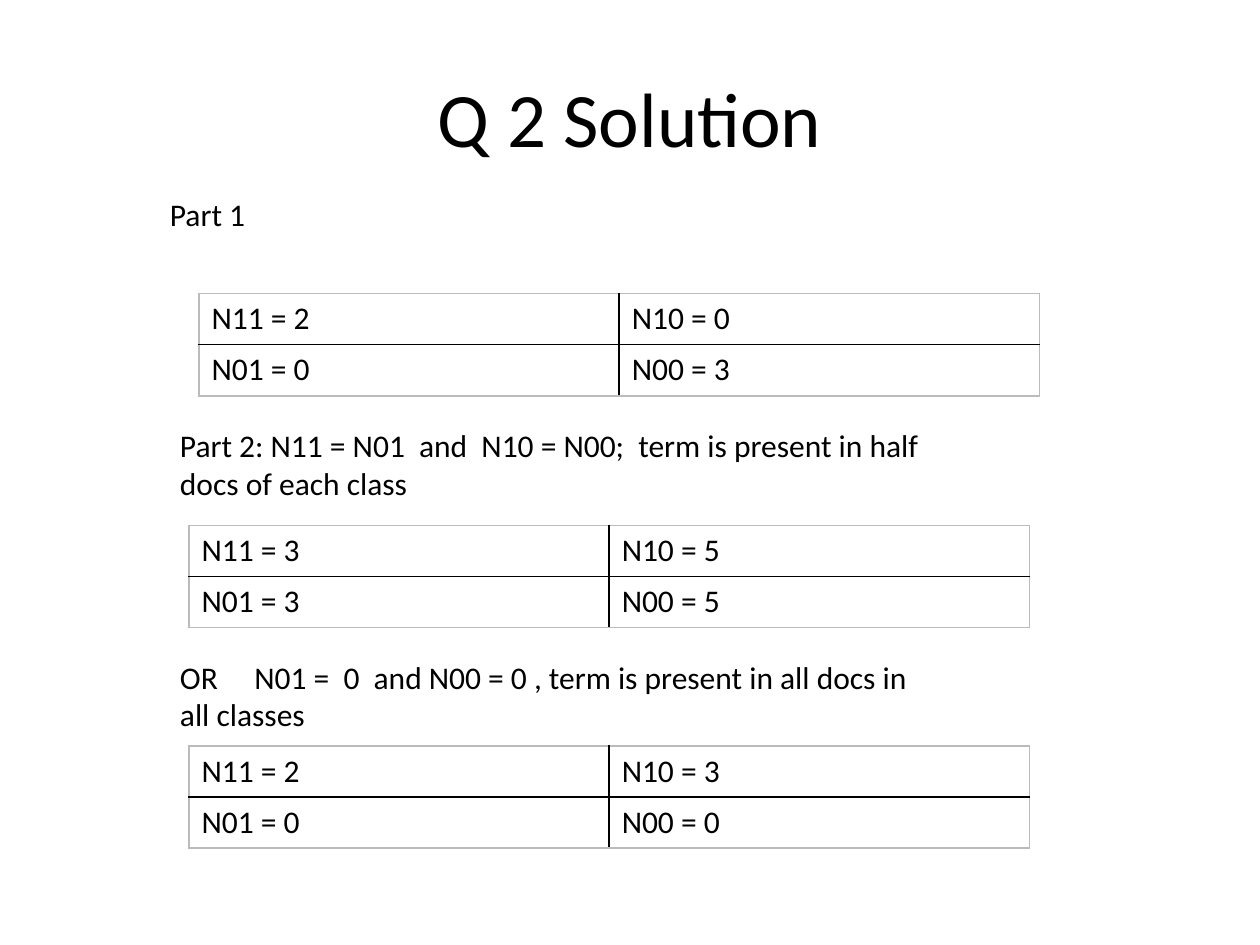
from dataclasses import dataclass

from lxml.etree import SubElement
from pptx import Presentation
from pptx.dml.color import RGBColor
from pptx.enum.text import MSO_ANCHOR, PP_ALIGN
from pptx.oxml.ns import qn
from pptx.util import Inches, Pt

BLACK = RGBColor(0x00, 0x00, 0x00)
OUTER_GREY = RGBColor(0xBB, 0xBB, 0xBB)
FONT_NAME = "Calibri"
TABLE_WIDTH = 6.67
ROW_HEIGHT = 0.405
TAB_STOP = 0.59


@dataclass
class Caption:
    text: str
    left: float
    top: float
    width: float
    height: float


@dataclass
class CountTable:
    rows: list[list[str]]
    left: float
    top: float


CAPTIONS = [
    Caption("Part 1", 1.25, 1.5, 2.25, 0.4),
    Caption("Part 2: N11 = N01  and  N10 = N00;  term is present in half docs of each class",
            1.33, 3.33, 6.25, 0.71),
    Caption("OR\tN01 =  0  and N00 = 0 , term is present in all docs in all classes",
            1.33, 5.17, 6.25, 0.71),
]

COUNT_TABLES = [
    CountTable([["N11 = 2", "N10 = 0"], ["N01 = 0", "N00 = 3"]], 1.58, 2.33),
    CountTable([["N11 = 3", "N10 = 5"], ["N01 = 3", "N00 = 5"]], 1.5, 4.17),
    CountTable([["N11 = 2", "N10 = 3"], ["N01 = 0", "N00 = 0"]], 1.5, 5.92),
]


def format_font(paragraph, size: float) -> None:
    formats = {"name": FONT_NAME, "size": Pt(size)}
    for attribute, value in formats.items():
        setattr(paragraph.font, attribute, value)
    paragraph.font.color.rgb = BLACK


def set_title(slide, text: str) -> None:
    title = slide.shapes.title
    position = {"left": 0.5, "top": 0.3, "width": 9, "height": 1.25}
    for attribute, value in position.items():
        setattr(title, attribute, Inches(value))
    title.text_frame.text = text
    title.text_frame.vertical_anchor = MSO_ANCHOR.MIDDLE
    paragraph = title.text_frame.paragraphs[0]
    paragraph.alignment = PP_ALIGN.CENTER
    format_font(paragraph, 44)


def add_caption(slide, caption: Caption) -> None:
    text_box = slide.shapes.add_textbox(Inches(caption.left), Inches(caption.top),
                                        Inches(caption.width), Inches(caption.height))
    text_box.text_frame.word_wrap = True
    paragraph = text_box.text_frame.paragraphs[0]
    paragraph.text = caption.text
    if "\t" in caption.text:
        tab_list = SubElement(paragraph._p.get_or_add_pPr(), qn("a:tabLst"))
        SubElement(tab_list, qn("a:tab"), pos=str(Inches(TAB_STOP)), algn="l")
    format_font(paragraph, 18)


def add_border(properties, side: str, color: RGBColor) -> None:
    line = SubElement(properties, qn(f"a:{side}"), w=str(Pt(1)))
    fill = SubElement(line, qn("a:solidFill"))
    SubElement(fill, qn("a:srgbClr"), val=str(color))


def add_count_table(slide, count_table: CountTable) -> None:
    row_count, column_count = len(count_table.rows), len(count_table.rows[0])
    table = slide.shapes.add_table(
        row_count, column_count, Inches(count_table.left), Inches(count_table.top),
        Inches(TABLE_WIDTH), Inches(ROW_HEIGHT * row_count)).table
    table.first_row = table.horz_banding = False
    for row_index, row in enumerate(count_table.rows):
        for column_index, text in enumerate(row):
            cell = table.cell(row_index, column_index)
            cell.text = text
            format_font(cell.text_frame.paragraphs[0], 18)
            outer_sides = {
                "lnL": column_index == 0,
                "lnR": column_index == column_count - 1,
                "lnT": row_index == 0,
                "lnB": row_index == row_count - 1,
            }
            for side, is_outer in outer_sides.items():
                add_border(cell._tc.get_or_add_tcPr(), side,
                           OUTER_GREY if is_outer else BLACK)
            cell.fill.background()


def main() -> None:
    presentation = Presentation()
    presentation.slide_width = Inches(10)
    presentation.slide_height = Inches(7.5)
    slide = presentation.slides.add_slide(presentation.slide_layouts[5])
    set_title(slide, "Q 2 Solution")
    for count_table in COUNT_TABLES:
        add_count_table(slide, count_table)
    for caption in CAPTIONS:
        add_caption(slide, caption)
    presentation.save("out.pptx")


if __name__ == "__main__":
    main()
